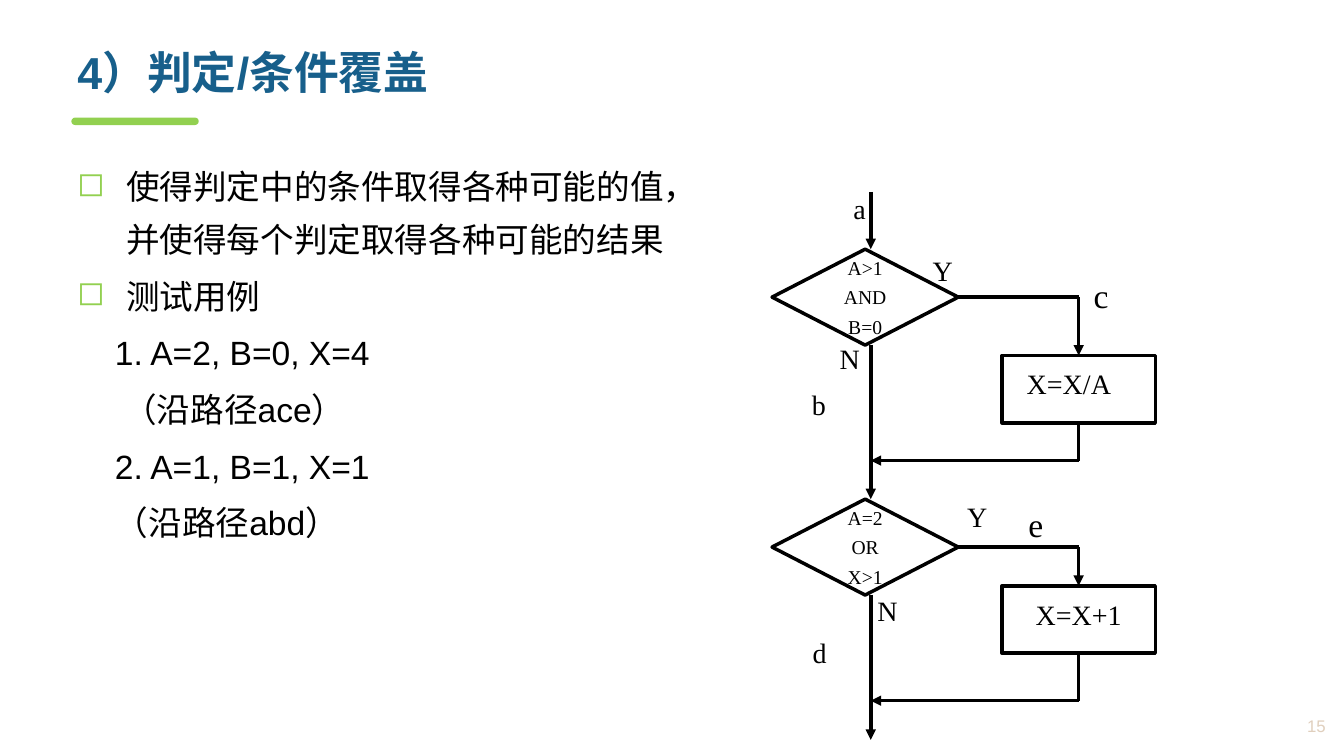
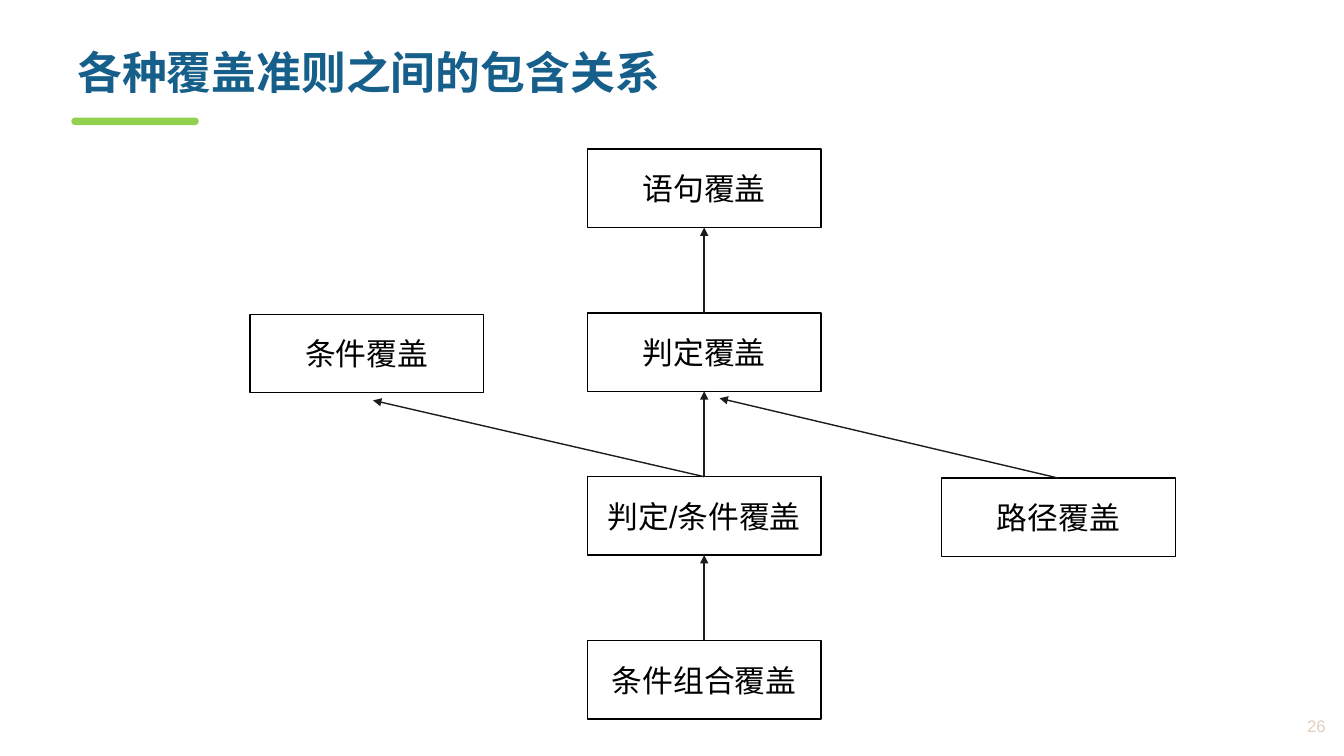
from dataclasses import dataclass

from lxml.etree import SubElement
from pptx import Presentation
from pptx.dml.color import RGBColor
from pptx.enum.shapes import MSO_CONNECTOR, MSO_SHAPE
from pptx.enum.text import MSO_ANCHOR, PP_ALIGN
from pptx.oxml.ns import qn
from pptx.util import Pt


@dataclass(frozen=True)
class Theme:
    title_color: RGBColor = RGBColor(0x17, 0x5F, 0x8B)
    accent: RGBColor = RGBColor(0x92, 0xD0, 0x50)
    ink: RGBColor = RGBColor(0, 0, 0)
    arrow: RGBColor = RGBColor(0x1B, 0x1C, 0x21)
    page_number: RGBColor = RGBColor(0xE0, 0xCF, 0xBD)
    sans: str = "Arial"
    serif: str = "Times New Roman"
    east_asian: str = "Noto Sans CJK SC"
    title_size: int = 32
    body_size: int = 24
    criterion_size: int = 22
    label_size: int = 20
    condition_size: int = 14
    number_size: int = 12
    flow_line: float = 2.5
    thin_line: float = 1


THEME = Theme()


def format_paragraph(paragraph, size, color=THEME.ink, name=THEME.sans, bold=False):
    font = paragraph.font
    font.size, font.name, font.bold = Pt(size), name, bold
    font.color.rgb = color
    for run in paragraph.runs:
        properties = run._r.get_or_add_rPr()
        SubElement(properties, qn("a:ea"), typeface=THEME.east_asian)


def clear_margins(frame):
    frame.margin_left = frame.margin_right = 0
    frame.margin_top = frame.margin_bottom = 0


def add_text_box(slide, left, top, width, height, wrap=True):
    frame = slide.shapes.add_textbox(Pt(left), Pt(top), Pt(width), Pt(height)).text_frame
    frame.word_wrap = wrap
    return frame


def add_titled_slide(presentation, title, number):
    """Add a slide with the shared title, accent bar and page number."""
    slide = presentation.slides.add_slide(presentation.slide_layouts[5])
    holder = slide.shapes.title
    holder.left, holder.top, holder.width, holder.height = Pt(48), Pt(29.5), Pt(878), Pt(54)
    frame = holder.text_frame
    frame.text = title
    frame.vertical_anchor = MSO_ANCHOR.TOP
    paragraph = frame.paragraphs[0]
    paragraph.alignment = PP_ALIGN.LEFT
    paragraph.line_spacing = Pt(37)
    format_paragraph(paragraph, THEME.title_size, THEME.title_color, bold=True)

    bar = slide.shapes.add_shape(
        MSO_SHAPE.ROUND_2_SAME_RECTANGLE, Pt(51), Pt(84), Pt(91), Pt(5.3))
    bar.adjustments[0] = bar.adjustments[1] = 0.5
    bar.shadow.inherit = False
    bar.fill.solid()
    bar.fill.fore_color.rgb = THEME.accent
    bar.line.fill.background()

    frame = add_text_box(slide, 872.5, 504.5, 81.5, 27.5)
    frame.vertical_anchor = MSO_ANCHOR.MIDDLE
    paragraph = frame.paragraphs[0]
    paragraph.text = str(number)
    paragraph.alignment = PP_ALIGN.RIGHT
    format_paragraph(paragraph, THEME.number_size, THEME.page_number)
    return slide


def set_indent(paragraph, left, hanging=0):
    properties = paragraph._p.get_or_add_pPr()
    properties.set("marL", str(Pt(left)))
    properties.set("indent", str(-Pt(hanging)))
    return properties


def add_bullet(paragraph):
    properties = set_indent(paragraph, 35, 35)
    color = SubElement(properties, qn("a:buClr"))
    SubElement(color, qn("a:srgbClr"), val=str(THEME.accent))
    SubElement(properties, qn("a:buChar"), char="◻")


def add_body(slide, bullets, cases):
    """Write bulleted lines, then (text, left indent) lines without bullets."""
    frame = add_text_box(slide, 48, 106.5, 452, 416)
    lines = [(text, None) for text in bullets] + cases
    for index, (text, indent) in enumerate(lines):
        paragraph = frame.add_paragraph() if index else frame.paragraphs[0]
        paragraph.text = text
        if indent is None:
            add_bullet(paragraph)
        else:
            set_indent(paragraph, indent)
        paragraph.line_spacing = Pt(37.5)
        paragraph.space_after = Pt(3)
        format_paragraph(paragraph, THEME.body_size)


def add_line(slide, start, end, width, color=THEME.ink, arrow=True):
    connector = slide.shapes.add_connector(
        MSO_CONNECTOR.STRAIGHT, *(Pt(value) for value in (*start, *end)))
    connector.line.width = Pt(width)
    connector.line.color.rgb = color
    if arrow:
        SubElement(connector.line._get_or_add_ln(), qn("a:tailEnd"), type="triangle")
    SubElement(connector._element.spPr, qn("a:effectLst"))


def add_outline(slide, kind, left, top, width, height, lines, size, name, line_width, gap=0):
    """Add an unfilled shape with centred lines of text."""
    shape = slide.shapes.add_shape(kind, Pt(left), Pt(top), Pt(width), Pt(height))
    shape.shadow.inherit = False
    shape.fill.background()
    shape.line.color.rgb = THEME.ink
    shape.line.width = Pt(line_width)
    frame = shape.text_frame
    clear_margins(frame)
    frame.word_wrap = False
    frame.vertical_anchor = MSO_ANCHOR.MIDDLE
    for index, text in enumerate(lines):
        paragraph = frame.add_paragraph() if index else frame.paragraphs[0]
        paragraph.text = text
        paragraph.alignment = PP_ALIGN.CENTER
        if index:
            paragraph.space_before = Pt(gap)
        format_paragraph(paragraph, size, name=name)
    return shape


def add_label(slide, text, center_x, center_y, size=THEME.label_size):
    width, height = 30, 24
    frame = add_text_box(
        slide, center_x - width / 2, center_y - height / 2, width, height, wrap=False)
    clear_margins(frame)
    frame.vertical_anchor = MSO_ANCHOR.MIDDLE
    paragraph = frame.paragraphs[0]
    paragraph.text = text
    paragraph.alignment = PP_ALIGN.CENTER
    format_paragraph(paragraph, size, name=THEME.serif)


def add_decision_stage(slide, top, conditions, action, action_top, merge_y, exit_y, shift):
    """Draw a decision, its action on the Y branch, and the path that rejoins."""
    main_x, branch_x = 622, 770.5
    diamond_left, diamond_width, diamond_height = 551.5, 133, 68.5
    action_width, action_height = 109.5, 48
    middle = top + diamond_height / 2
    add_outline(slide, MSO_SHAPE.DIAMOND, diamond_left, top, diamond_width, diamond_height,
                conditions, THEME.condition_size, THEME.serif, THEME.flow_line, gap=4)
    box = add_outline(slide, MSO_SHAPE.RECTANGLE, branch_x - action_width / 2, action_top,
                      action_width, action_height, [action],
                      THEME.label_size, THEME.serif, THEME.flow_line)
    box.text_frame.margin_bottom = Pt(8)
    box.text_frame.margin_right = Pt(shift)
    for start, end, arrow in [
        ((main_x, top + diamond_height), (main_x, exit_y), True),
        ((diamond_left + diamond_width, middle), (branch_x, middle), False),
        ((branch_x, middle), (branch_x, action_top), True),
        ((branch_x, action_top + action_height), (branch_x, merge_y), False),
        ((branch_x, merge_y), (main_x, merge_y), True),
    ]:
        add_line(slide, start, end, THEME.flow_line, arrow=arrow)


def build_decision_condition(presentation):
    slide = add_titled_slide(presentation, "4）判定/条件覆盖", 15)
    add_body(
        slide,
        ["使得判定中的条件取得各种可能的值，并使得每个判定取得各种可能的结果", "测试用例"],
        [("1. A=2, B=0, X=4", 27), ("（沿路径ace）", 33),
         ("2. A=1, B=1, X=1", 27), ("（沿路径abd）", 27)])

    first_top, second_top = 178, 356.5
    add_line(slide, (622, 137), (622, first_top), THEME.flow_line)
    add_decision_stage(slide, first_top, ["A>1", "AND", "B=0"], "X=X/A",
                       254, 329, second_top, shift=14)
    add_decision_stage(slide, second_top, ["A=2", "OR", "X>1"], "X=X+1",
                       418.5, 500.5, 528.5, shift=0)
    for text, x, y in [
        ("a", 614, 149), ("Y", 673.5, 193), ("N", 607, 256), ("b", 585, 288.5),
        ("Y", 698, 369), ("N", 634, 436), ("d", 585.5, 466),
    ]:
        add_label(slide, text, x, y)
    add_label(slide, "c", 786.5, 210.5, THEME.body_size)
    add_label(slide, "e", 740, 374, THEME.body_size)


def build_inclusion(presentation):
    slide = add_titled_slide(presentation, "各种覆盖准则之间的包含关系", 26)
    width, height = 167, 56
    tops = [106.5 + 117 * row for row in range(4)]
    column = 419.5
    center = column + width / 2
    boxes = [(column, top, text) for top, text in zip(
        tops, ["语句覆盖", "判定覆盖", "判定/条件覆盖", "条件组合覆盖"])]
    boxes += [(672.5, tops[2] + 1, "路径覆盖"), (178.5, tops[1] + 1, "条件覆盖")]
    for left, top, text in boxes:
        add_outline(slide, MSO_SHAPE.RECTANGLE, left, top, width, height, [text],
                    THEME.criterion_size, THEME.sans, THEME.thin_line)

    arrows = [((center, lower), (center, upper + height))
              for upper, lower in zip(tops, tops[1:])]
    arrows += [((756, tops[2] + 1), (514, 284.5)), ((center, tops[2]), (266.5, 286))]
    for start, end in arrows:
        add_line(slide, start, end, THEME.thin_line, THEME.arrow)


def main():
    presentation = Presentation()
    presentation.slide_width, presentation.slide_height = Pt(960), Pt(540)
    build_decision_condition(presentation)
    build_inclusion(presentation)
    presentation.save("out.pptx")


if __name__ == "__main__":
    main()
